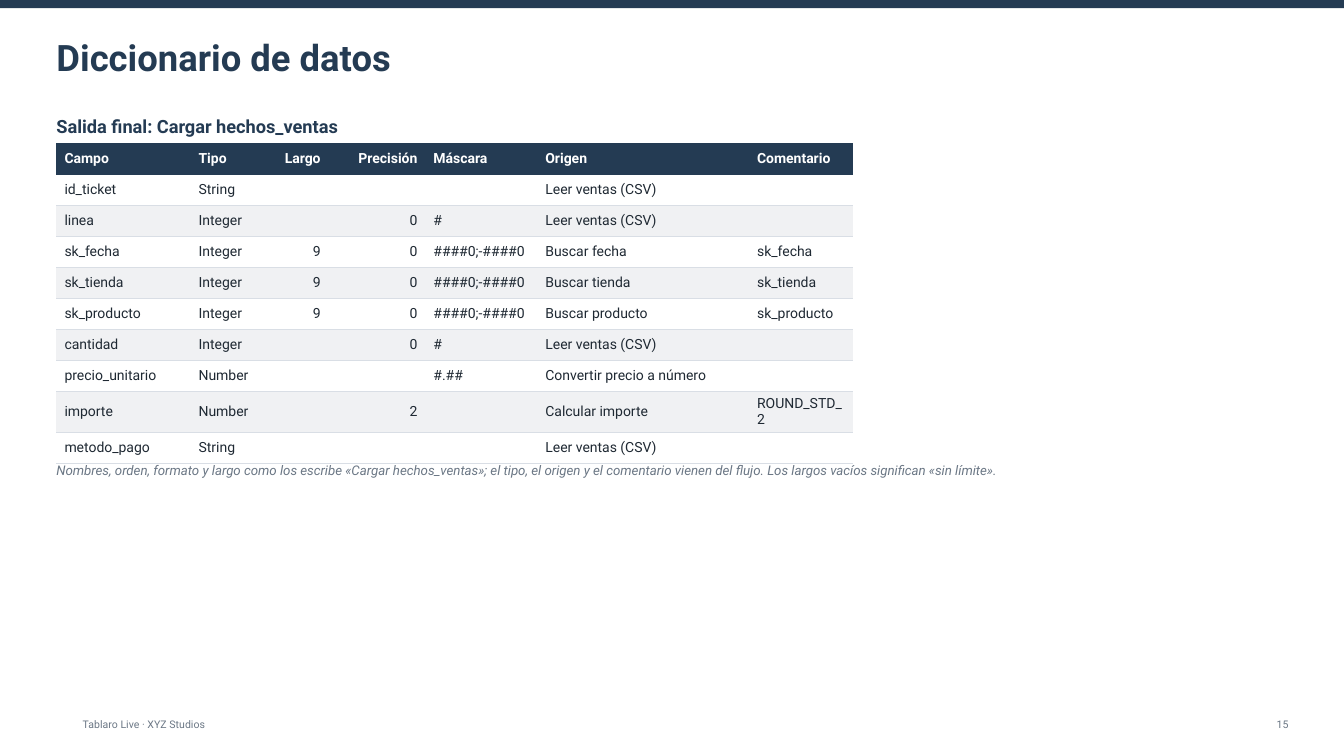
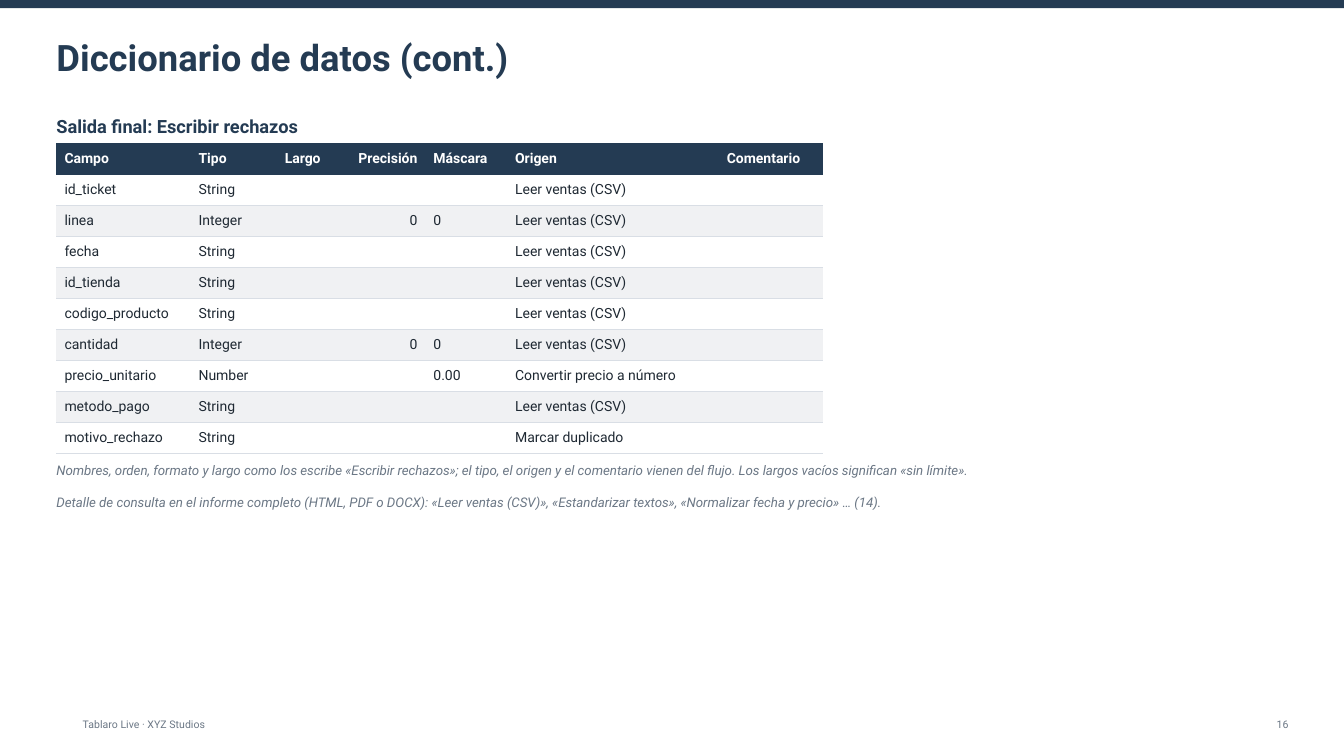
from dataclasses import dataclass

from lxml.etree import SubElement
from pptx import Presentation
from pptx.dml.color import RGBColor
from pptx.enum.shapes import MSO_SHAPE
from pptx.enum.text import MSO_ANCHOR, MSO_AUTO_SIZE, PP_ALIGN
from pptx.oxml import parse_xml
from pptx.oxml.ns import nsdecls, qn
from pptx.util import Inches, Pt


@dataclass(frozen=True)
class Theme:
    font: str = "Roboto"
    navy: str = "243B53"
    ink: str = "1F2933"
    muted: str = "6B7785"
    white: str = "FFFFFF"
    stripe: str = "F0F1F3"
    rule: str = "D9DEE5"
    title_size: float = 26
    subtitle_size: float = 13
    table_size: float = 10
    note_size: float = 9.5
    footer_size: float = 7.5
    rule_width: float = 0.75


THEME = Theme()
TITLE = {"size": Pt(THEME.title_size), "bold": True, "color": THEME.navy}
SUBTITLE = {"size": Pt(THEME.subtitle_size), "bold": True, "color": THEME.navy}
HEADER = {"size": Pt(THEME.table_size), "bold": True, "color": THEME.white}
BODY = {"size": Pt(THEME.table_size), "bold": False, "color": THEME.ink}
NOTE = {"size": Pt(THEME.note_size), "italic": True, "color": THEME.muted}
FOOTER = {"size": Pt(THEME.footer_size), "color": THEME.muted}

SLIDE_WIDTH, SLIDE_HEIGHT = 13.33, 7.5
MARGIN, CONTENT_WIDTH = 0.56, 12.22
TABLE_TOP, TABLE_HEIGHT = 1.42, 3.08
NOTE_TOP, NOTE_STEP = 4.56, 0.31
PLAIN_TABLE_STYLE = "{2D5ABB26-0587-4C30-8999-92F81FD0307C}"

FOOTER_TEXT = "Tablaro Live · XYZ Studios"
COLUMNS = ("Campo", "Tipo", "Largo", "Precisión", "Máscara", "Origen", "Comentario")
NUMERIC_COLUMNS = ("Largo", "Precisión")
CSV = "Leer ventas (CSV)"
KEY_MASK = "####0;-####0"

SALES_ROWS = (
    ("id_ticket", "String", "", "", "", CSV, ""),
    ("linea", "Integer", "", "0", "#", CSV, ""),
    ("sk_fecha", "Integer", "9", "0", KEY_MASK, "Buscar fecha", "sk_fecha"),
    ("sk_tienda", "Integer", "9", "0", KEY_MASK, "Buscar tienda", "sk_tienda"),
    ("sk_producto", "Integer", "9", "0", KEY_MASK, "Buscar producto", "sk_producto"),
    ("cantidad", "Integer", "", "0", "#", CSV, ""),
    ("precio_unitario", "Number", "", "", "#.##", "Convertir precio a número", ""),
    ("importe", "Number", "", "2", "", "Calcular importe", "ROUND_STD_2"),
    ("metodo_pago", "String", "", "", "", CSV, ""),
)
REJECT_ROWS = (
    ("id_ticket", "String", "", "", "", CSV, ""),
    ("linea", "Integer", "", "0", "0", CSV, ""),
    ("fecha", "String", "", "", "", CSV, ""),
    ("id_tienda", "String", "", "", "", CSV, ""),
    ("codigo_producto", "String", "", "", "", CSV, ""),
    ("cantidad", "Integer", "", "0", "0", CSV, ""),
    ("precio_unitario", "Number", "", "", "0.00", "Convertir precio a número", ""),
    ("metodo_pago", "String", "", "", "", CSV, ""),
    ("motivo_rechazo", "String", "", "", "", "Marcar duplicado", ""),
)
DETAIL_NOTE = (
    "Detalle de consulta en el informe completo (HTML, PDF o DOCX): «Leer ventas (CSV)», "
    "«Estandarizar textos», «Normalizar fecha y precio» … (14)."
)


def set_attributes(target, values):
    for name, value in values.items():
        setattr(target, name, value)


def write(paragraph, text, style, align=PP_ALIGN.LEFT):
    paragraph.alignment = align
    if not text:
        SubElement(paragraph._p, qn("a:endParaRPr"), sz=str(int(style["size"].pt * 100)))
        return
    run = paragraph.add_run()
    run.text = text
    run.font.name = THEME.font
    set_attributes(run.font, {name: value for name, value in style.items() if name != "color"})
    run.font.color.rgb = RGBColor.from_string(style["color"])


def fill_frame(frame, text, style, inset, anchor, align=PP_ALIGN.LEFT):
    set_attributes(frame, {
        "word_wrap": True,
        "auto_size": MSO_AUTO_SIZE.NONE,
        "vertical_anchor": anchor,
        "margin_left": 0,
        "margin_right": 0,
        "margin_top": Inches(inset),
        "margin_bottom": Inches(inset),
    })
    write(frame.paragraphs[0], text, style, align)


def add_text(slide, box, text, style, anchor=MSO_ANCHOR.TOP, align=PP_ALIGN.LEFT):
    shape = slide.shapes.add_textbox(*map(Inches, box))
    fill_frame(shape.text_frame, text, style, 0.03, anchor, align)


def set_title(slide, text):
    title = slide.shapes.title
    set_attributes(title, {
        "left": Inches(MARGIN),
        "top": Inches(0.22),
        "width": Inches(CONTENT_WIDTH),
        "height": Inches(0.69),
    })
    fill_frame(title.text_frame, text, TITLE, 0.05, MSO_ANCHOR.MIDDLE)


def add_band(slide):
    band = slide.shapes.add_shape(MSO_SHAPE.RECTANGLE, 0, 0, Inches(SLIDE_WIDTH), Inches(0.08))
    band.shadow.inherit = False
    band.fill.solid()
    band.fill.fore_color.rgb = RGBColor.from_string(THEME.navy)
    band.line.fill.background()


def add_footer(slide, number):
    add_text(slide, (0.82, 7.06, 5.56, 0.25), FOOTER_TEXT, FOOTER, MSO_ANCHOR.MIDDLE)
    add_text(slide, (11.11, 7.06, 1.67, 0.25), str(number), FOOTER,
             MSO_ANCHOR.MIDDLE, PP_ALIGN.RIGHT)


def set_bottom_border(cell, color):
    border = parse_xml(
        f'<a:lnB {nsdecls("a")} w="{Pt(THEME.rule_width)}">'
        f'<a:solidFill><a:srgbClr val="{color}"/></a:solidFill></a:lnB>'
    )
    cell._tc.get_or_add_tcPr().insert(0, border)


def format_cell(cell, text, style, fill, border, align):
    set_attributes(cell, {
        "vertical_anchor": MSO_ANCHOR.MIDDLE,
        "margin_left": Inches(0.08),
        "margin_right": Inches(0.08),
        "margin_top": Inches(0.04),
        "margin_bottom": Inches(0.04),
    })
    cell.fill.solid()
    cell.fill.fore_color.rgb = RGBColor.from_string(fill)
    set_bottom_border(cell, border)
    write(cell.text_frame.paragraphs[0], text, style, align)


def row_format(index):
    if index == 0:
        return HEADER, THEME.navy, THEME.navy
    return BODY, THEME.white if index % 2 else THEME.stripe, THEME.rule


def add_dictionary_table(slide, rows, mask_width):
    widths = (1.33, 0.72, 0.65, 0.96, mask_width, 2.1, 1.03)
    frame = slide.shapes.add_table(
        len(rows) + 1, len(COLUMNS),
        Inches(MARGIN), Inches(TABLE_TOP), Inches(sum(widths)), Inches(TABLE_HEIGHT),
    )
    table = frame.table
    table.horz_banding = False
    table._tbl.tblPr.find(qn("a:tableStyleId")).text = PLAIN_TABLE_STYLE
    for column, width in zip(table.columns, widths):
        column.width = Inches(width)
    for row_index, values in enumerate((COLUMNS, *rows)):
        style, fill, border = row_format(row_index)
        for column_index, (heading, value) in enumerate(zip(COLUMNS, values)):
            align = PP_ALIGN.RIGHT if heading in NUMERIC_COLUMNS else PP_ALIGN.LEFT
            format_cell(table.cell(row_index, column_index), value, style, fill, border, align)


def add_dictionary_slide(presentation, number, title, step, rows, mask_width, extra_notes=()):
    slide = presentation.slides.add_slide(presentation.slide_layouts[5])
    set_title(slide, title)
    add_band(slide)
    add_footer(slide, number)
    add_text(slide, (MARGIN, 1.11, CONTENT_WIDTH, 0.28), f"Salida final: {step}", SUBTITLE)
    add_dictionary_table(slide, rows, mask_width)
    source_note = (
        f"Nombres, orden, formato y largo como los escribe «{step}»; el tipo, el origen y el "
        "comentario vienen del flujo. Los largos vacíos significan «sin límite»."
    )
    for index, note in enumerate((source_note, *extra_notes)):
        add_text(slide, (MARGIN, NOTE_TOP + index * NOTE_STEP, CONTENT_WIDTH, 0.26), note, NOTE)


def main():
    presentation = Presentation()
    presentation.slide_width = Inches(SLIDE_WIDTH)
    presentation.slide_height = Inches(SLIDE_HEIGHT)
    add_dictionary_slide(presentation, 15, "Diccionario de datos",
                         "Cargar hechos_ventas", SALES_ROWS, 1.11)
    add_dictionary_slide(presentation, 16, "Diccionario de datos (cont.)",
                         "Escribir rechazos", REJECT_ROWS, 0.81, (DETAIL_NOTE,))
    presentation.save("out.pptx")


if __name__ == "__main__":
    main()
